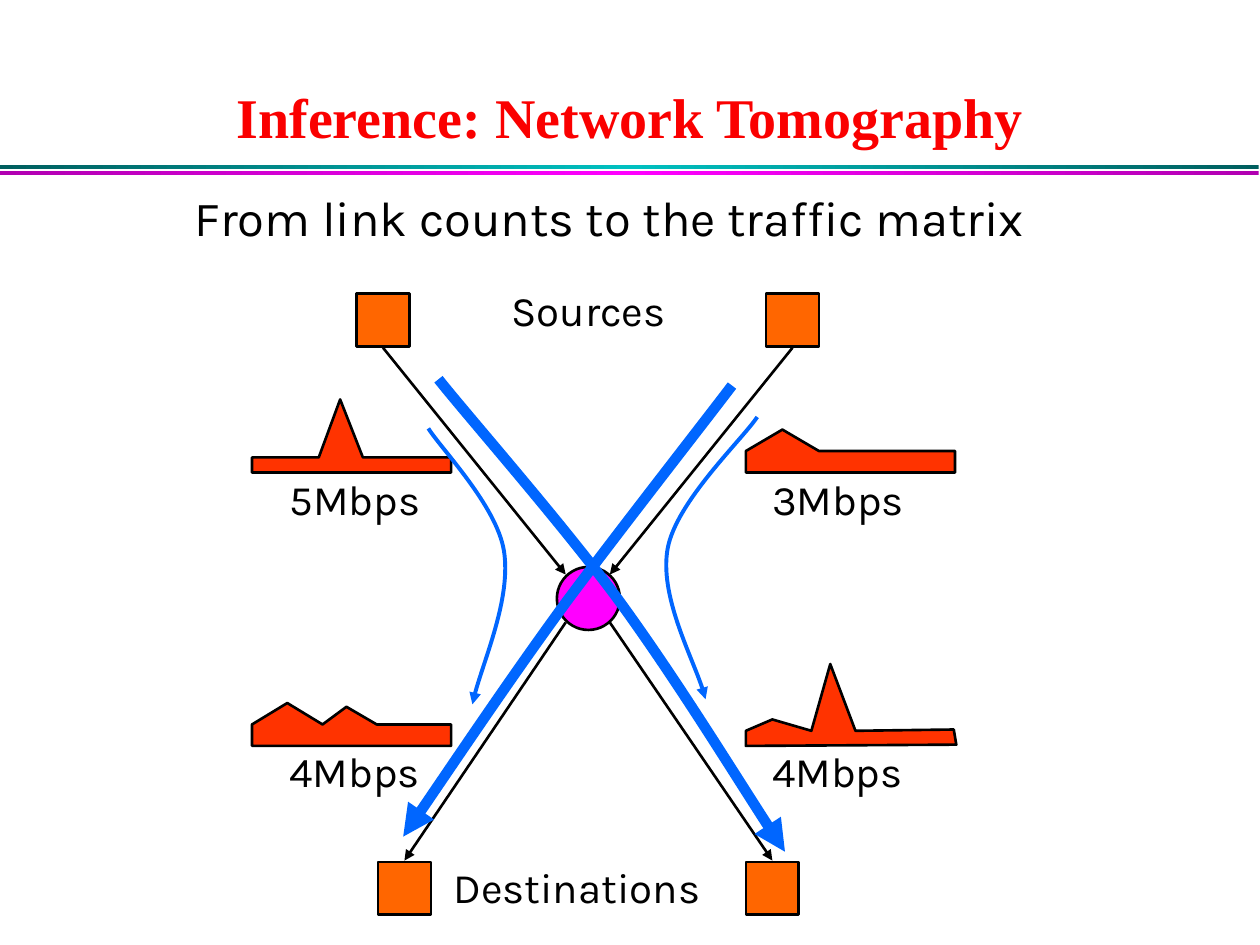
from copy import deepcopy

from lxml import etree
from pptx import Presentation, util as u
from pptx.dml.color import RGBColor
from pptx.enum import shapes, text
from pptx.oxml.ns import qn

deck = Presentation()
deck.slide_width, deck.slide_height = u.Inches(10), u.Inches(7.5)
page = deck.slides.add_slide(deck.slide_layouts[5])

# The page is a grid of 10 columns by 7.5 rows of square cells
CELL = deck.slide_width // 10
BLACK, BLUE, ORANGE, RED, MAGENTA = "000000", "0066FF", "FF6600", "FF3300", "FF00FF"


def cells(*values):
    return [u.Emu(round(value * CELL)) for value in values]


def paint(item, line, width, fill=None, arrow=False):
    """Set outline, fill and arrowhead, and switch the shadow off."""
    if fill:
        item.fill.solid()
        item.fill.fore_color.rgb = RGBColor.from_string(fill)
    item.line.color.rgb = RGBColor.from_string(line)
    item.line.width = u.Pt(width)
    outline = item._element.spPr.find(qn("a:ln"))
    if arrow:
        etree.SubElement(outline, qn("a:tailEnd"), type="triangle")
    outline.addnext(etree.Element(qn("a:effectLst")))


# Double rule under the title, dark at both ends
for top, edge, middle in [(1.31, "005F5F", "00C0C0"), (1.36, "B100B1", MAGENTA)]:
    rule = page.shapes.add_shape(shapes.MSO_SHAPE.RECTANGLE, *cells(0, top, 9.99, 0.03))
    rule.shadow.inherit = False
    rule.line.fill.background()
    rule.fill.gradient()
    rule.fill.gradient_angle = 0
    stops = rule._element.spPr.find(qn("a:gradFill")).find(qn("a:gsLst"))
    stops.append(deepcopy(stops[0]))
    for stop, place, colour in zip(rule.fill.gradient_stops, (0, 0.5, 1), (edge, middle, edge)):
        stop.position = place
        stop.color.rgb = RGBColor.from_string(colour)

# Router, sources and destinations
router = page.shapes.add_shape(shapes.MSO_SHAPE.OVAL, *cells(4.42, 4.5, 0.5, 0.5))
paint(router, BLACK, 1.5, MAGENTA)
for left, top in [(2.83, 2.33), (6.08, 2.33), (3, 6.84), (5.92, 6.84)]:
    host = page.shapes.add_shape(shapes.MSO_SHAPE.RECTANGLE, *cells(left, top, 0.42, 0.42))
    paint(host, BLACK, 1.5, ORANGE)

# Links into and out of the router
for ends in [(3.04, 2.76, 4.49, 4.56), (6.29, 2.76, 4.84, 4.56),
             (4.49, 4.94, 3.21, 6.83), (4.84, 4.94, 6.13, 6.83)]:
    link = page.shapes.add_connector(shapes.MSO_CONNECTOR.STRAIGHT, *cells(*ends))
    paint(link, BLACK, 1.5, arrow=True)

# Traffic profile of each link
profiles = [
    [(2, 3.75), (2, 3.63), (2.53, 3.63), (2.7, 3.17), (2.88, 3.63), (3.58, 3.63), (3.58, 3.75)],
    [(5.92, 3.75), (5.92, 3.58), (6.21, 3.41), (6.5, 3.58), (7.58, 3.58), (7.58, 3.75)],
    [(2, 5.92), (2, 5.75), (2.28, 5.58), (2.56, 5.75), (2.75, 5.61), (2.99, 5.75),
     (3.58, 5.75), (3.58, 5.92)],
    [(5.92, 5.92), (5.92, 5.8), (6.13, 5.71), (6.44, 5.8), (6.59, 5.27), (6.79, 5.8),
     (7.57, 5.79), (7.59, 5.91)],
]
for points in profiles:
    start, *rest = [cells(*point) for point in points]
    builder = page.shapes.build_freeform(*start)
    builder.add_line_segments(rest, close=True)
    paint(builder.convert_to_shape(), BLACK, 1.5, RED)

# Flows: a start, then two Bezier segments of three points each
flows = [
    (6, [(3.48, 3.01), (3.71, 3.3), (4.44, 4.13), (4.9, 4.75),
         (5.36, 5.38), (5.95, 6.34), (6.23, 6.76)]),
    (6, [(5.81, 3.06), (5.59, 3.35), (4.94, 4.18), (4.5, 4.77),
         (4.06, 5.37), (3.47, 6.25), (3.2, 6.64)]),
    (2.25, [(3.4, 3.4), (3.5, 3.56), (3.94, 4.01), (4, 4.37),
            (4.06, 4.74), (3.8, 5.33), (3.75, 5.59)]),
    (2.25, [(6.01, 3.31), (5.89, 3.49), (5.37, 3.98), (5.3, 4.35),
            (5.23, 4.72), (5.54, 5.3), (5.6, 5.55)]),
]
for width, points in flows:
    start, *rest = [cells(*point) for point in points]
    builder = page.shapes.build_freeform(*start)
    builder.add_line_segments(rest, close=False)
    flow = builder.convert_to_shape()
    flow.fill.background()
    paint(flow, BLUE, width, arrow=True)
    segments = list(flow._element.iter(qn("a:lnTo")))
    for first in range(0, len(segments), 3):
        curve = etree.Element(qn("a:cubicBezTo"))
        segments[first].addprevious(curve)
        for segment in segments[first:first + 3]:
            curve.append(segment[0])
            segment.getparent().remove(segment)

# Title and labels
title = page.shapes.title
title.left, title.top, title.width, title.height = cells(0.11, 0.62, 9.78, 0.62)
captions = [(title, "Inference: Network Tomography", 32, "Times New Roman", "FA0000")]
for words, left, top, width, height, size in [
    ("From link counts to the traffic matrix", 1.4, 1.44, 6.87, 0.57, 28),
    ("Sources", 3.96, 2.21, 1.43, 0.5, 24),
    ("5Mbps", 2.2, 3.71, 1.26, 0.5, 24),
    ("3Mbps", 6.03, 3.71, 1.26, 0.5, 24),
    ("4Mbps", 2.2, 5.87, 1.26, 0.5, 24),
    ("4Mbps", 6.03, 5.87, 1.26, 0.5, 24),
    ("Destinations", 3.5, 6.79, 2.16, 0.5, 24),
]:
    box = page.shapes.add_textbox(*cells(left, top, width, height))
    captions.append((box, words, size, "Karla", BLACK))

for box, words, size, font, colour in captions:
    frame = box.text_frame
    frame.word_wrap = box is captions[0][0]
    frame.auto_size = text.MSO_AUTO_SIZE.NONE
    para = frame.paragraphs[0]
    para.alignment = text.PP_ALIGN.CENTER if size > 24 else text.PP_ALIGN.LEFT
    span = para.add_run()
    span.text = words
    span.font.name, span.font.size = font, u.Pt(size)
    span.font.bold = size == 32
    span.font.color.rgb = RGBColor.from_string(colour)
title.text_frame.vertical_anchor = text.MSO_ANCHOR.BOTTOM

deck.save("out.pptx")
